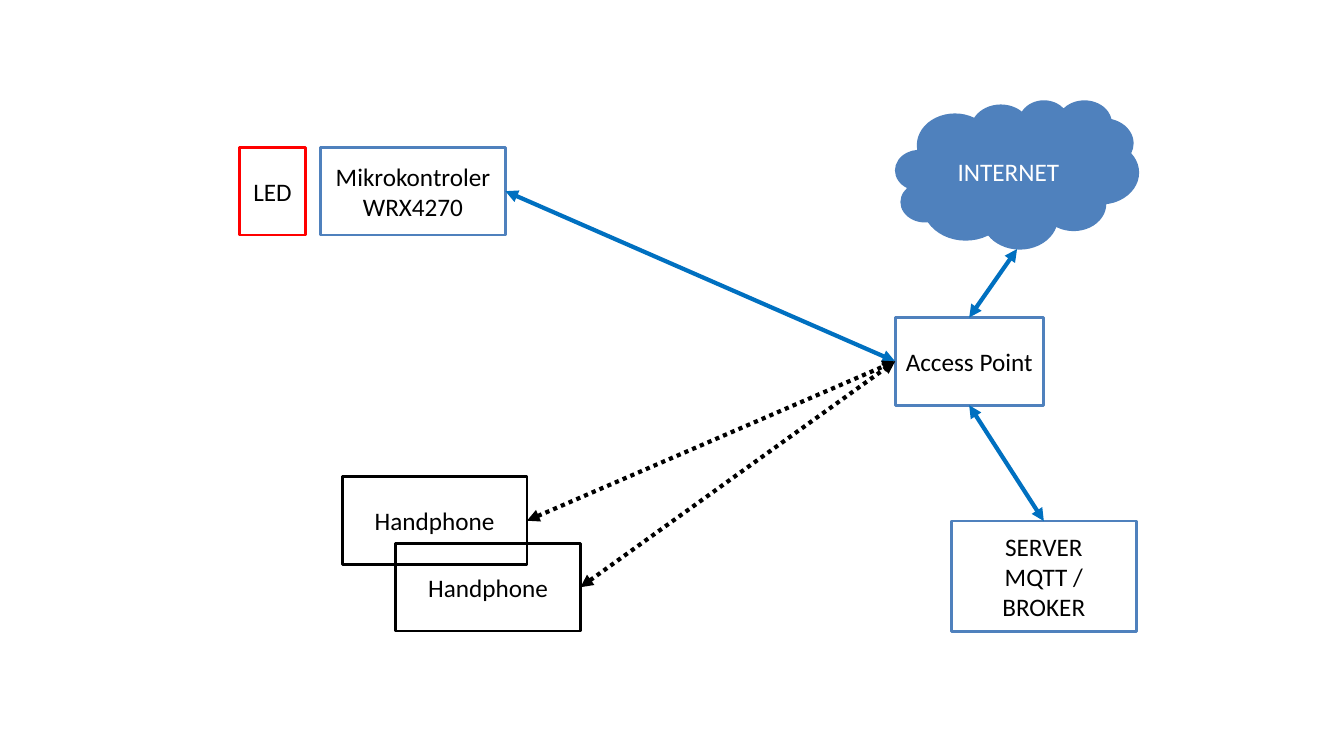
import pptx
import pptx.dml.color
import pptx.enum.dml
import pptx.enum.shapes
import pptx.enum.text
import pptx.oxml
import pptx.oxml.ns
import pptx.util

Pt = pptx.util.Pt
SHAPES = pptx.enum.shapes.MSO_SHAPE

COLORS = {"blue": "4F81BD", "link": "0070C0", "red": "FF0000",
          "black": "000000", "white": "FFFFFF"}

# Content: name -> (lines, left, top, width, height, outline)
BOX_W, BOX_H = 132, 62.7
DEVICE_TOP = 105.2
NODES = {
    "access": (["Access Point"], 639.4, 226.8, 105.8, BOX_H, "blue"),
    "controller": (["Mikrokontroler", "WRX4270"], 229, DEVICE_TOP, BOX_W, BOX_H, "blue"),
    "phone1": (["Handphone"], 244.4, 340.6, BOX_W, BOX_H, "black"),
    "phone2": (["Handphone"], 282.6, 388.1, BOX_W, BOX_H, "black"),
    "led": (["LED"], 171.2, DEVICE_TOP, 46.8, BOX_H, "red"),
    "internet": (["INTERNET"], 639.4, 71.3, 174.2, 106.6, None),
    "server": (["SERVER", "MQTT /", "BROKER"], 679.6, 372.2, BOX_W, 79.2, "blue"),
}
# (node, side, node, side, colour, dotted)
LINKS = [
    ("controller", "right", "access", "left", "link", False),
    ("phone1", "right", "access", "left", "black", True),
    ("phone2", "right", "access", "left", "black", True),
    ("internet", "bottom", "access", "top", "link", False),
    ("server", "top", "access", "bottom", "link", False),
]
SIDES = {"left": (0, 0.5), "right": (1, 0.5), "top": (0.5, 0), "bottom": (0.5, 1)}


def rgb(name):
    return pptx.dml.color.RGBColor.from_string(COLORS[name])


def write(shape, lines, color="black", size=18, font="Calibri"):
    frame = shape.text_frame
    frame.word_wrap = True
    frame.margin_left = frame.margin_right = Pt(5)
    frame.vertical_anchor = pptx.enum.text.MSO_ANCHOR.MIDDLE
    for i, line in enumerate(lines):
        paragraph = frame.add_paragraph() if i else frame.paragraphs[0]
        paragraph.alignment = pptx.enum.text.PP_ALIGN.CENTER
        run = paragraph.add_run()
        run.text = line
        run.font.size = Pt(size)
        run.font.name = font
        run.font.color.rgb = rgb(color)


def add_node(slide, lines, left, top, width, height, outline):
    kind = SHAPES.RECTANGLE if outline else SHAPES.CLOUD
    node = slide.shapes.add_shape(kind, Pt(left), Pt(top), Pt(width), Pt(height))
    node.shadow.inherit = False
    if outline:
        node.fill.background()
        node.line.color.rgb = rgb(outline)
        node.line.width = Pt(2)
    else:
        node.fill.solid()
        node.fill.fore_color.rgb = rgb("blue")
        node.line.fill.background()
    write(node, lines, color="black" if outline else "white")


def anchor(name, side):
    _, left, top, width, height, _ = NODES[name]
    across, down = SIDES[side]
    return Pt(left + across * width), Pt(top + down * height)


def add_link(slide, start, start_side, end, end_side, color, dotted):
    link = slide.shapes.add_connector(
        pptx.enum.shapes.MSO_CONNECTOR.STRAIGHT,
        *anchor(start, start_side), *anchor(end, end_side))
    link.line.color.rgb = rgb(color)
    link.line.width = Pt(3)
    if dotted:
        link.line.dash_style = pptx.enum.dml.MSO_LINE.ROUND_DOT
    # Arrowheads at both ends, no shadow
    outline = link.line._get_or_add_ln()
    for tag in ("a:headEnd", "a:tailEnd"):
        outline.append(pptx.oxml.parse_xml(
            f'<{tag} {pptx.oxml.ns.nsdecls("a")} type="triangle"/>'))
    outline.addnext(pptx.oxml.parse_xml(
        f'<a:effectLst {pptx.oxml.ns.nsdecls("a")}/>'))


def main():
    deck = pptx.Presentation()
    deck.slide_width, deck.slide_height = Pt(960), Pt(540)
    slide = deck.slides.add_slide(deck.slide_layouts[6])
    # Devices and services
    for node in NODES.values():
        add_node(slide, *node)
    # Connections
    for link in LINKS:
        add_link(slide, *link)
    deck.save("out.pptx")


if __name__ == "__main__":
    main()
